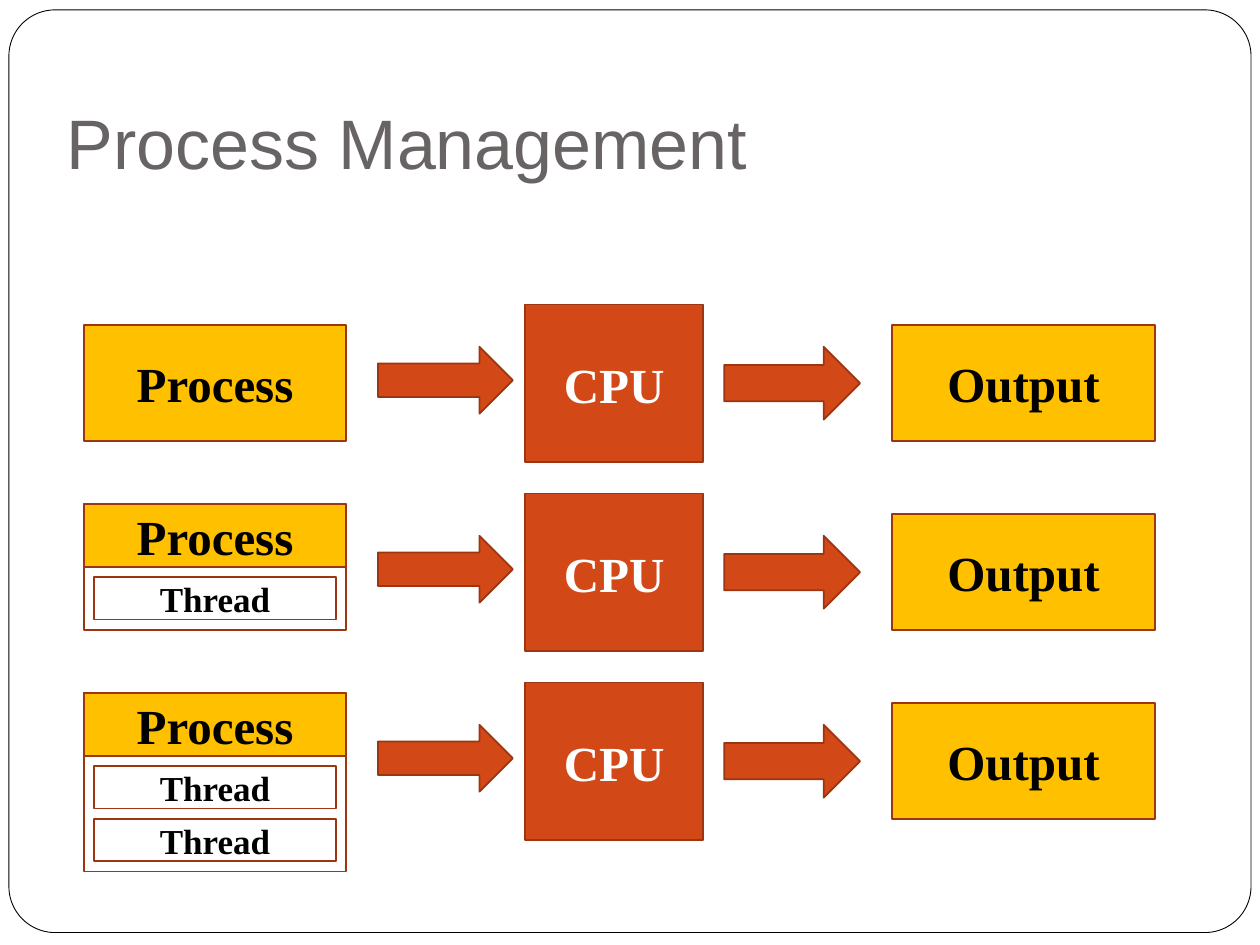
from pptx import Presentation
from pptx.dml.color import RGBColor
from pptx.enum import shapes, text
from pptx.util import Cm, Pt

WHITE = RGBColor(0xFF, 0xFF, 0xFF)
BLACK = RGBColor(0, 0, 0)
GREY = RGBColor(0x69, 0x64, 0x64)
RED = RGBColor(0xD3, 0x48, 0x17)
RUST = RGBColor(0x9C, 0x35, 0x11)
GOLD = RGBColor(0xFF, 0xC0, 0x00)

KIND = shapes.MSO_SHAPE
GAP = 0.21
HEAD = 1.27
STEP = 1.06


def write(shape, words, size=28, font="Times New Roman", color=BLACK,
          bold=True, align=text.PP_ALIGN.CENTER,
          anchor=text.MSO_ANCHOR.MIDDLE):
    frame = shape.text_frame
    frame.word_wrap = True
    frame.auto_size = text.MSO_AUTO_SIZE.NONE
    frame.vertical_anchor = anchor
    para = frame.paragraphs[0]
    para.alignment = align
    run = para.add_run()
    run.text = words
    run.font.size = Pt(size)
    run.font.name = font
    run.font.bold = bold
    run.font.color.rgb = color


def draw(slide, box, kind=KIND.RECTANGLE, fill=None, line=RUST, width=1):
    """Add a flat shape; box is left, top, width and height in centimetres."""
    shape = slide.shapes.add_shape(kind, *map(Cm, box))
    shape.shadow.inherit = False
    if fill is None:
        shape.fill.background()
    else:
        shape.fill.solid()
        shape.fill.fore_color.rgb = fill
    shape.line.color.rgb = line
    shape.line.width = Pt(width)
    return shape


def add_frame(slide, box):
    frame = draw(slide, box, KIND.ROUNDED_RECTANGLE, WHITE, BLACK, 0.5)
    frame.adjustments[0] = 0.05
    # Keep the border behind the title
    slide.shapes._spTree.insert(2, frame._element)


def add_title(slide, box, words):
    title = slide.shapes.title
    title.left, title.top, title.width, title.height = map(Cm, box)
    title.text_frame.margin_bottom = Cm(0.25)
    write(title, words, size=40, font="Arial", color=GREY, bold=False,
          align=text.PP_ALIGN.LEFT, anchor=text.MSO_ANCHOR.BOTTOM)


def add_process(slide, left, top, wide, count):
    """Add a process box, with a list of threads under it if count > 0."""
    if not count:
        write(draw(slide, (left, top + GAP, wide, 2.33), fill=GOLD), "Process")
        return
    write(draw(slide, (left, top, wide, HEAD), fill=GOLD), "Process")
    draw(slide, (left, top, wide, HEAD + count * STEP + GAP))
    for i in range(count):
        spot = (left + GAP, top + HEAD + GAP + i * STEP,
                wide - 2 * GAP, STEP - GAP)
        write(draw(slide, spot), "Thread", size=20)


def add_row(slide, left, top, count):
    """Add one flow from process through CPU to output."""
    add_process(slide, left, top + GAP, 5.29, count)
    cpu = draw(slide, (left + 8.89, top, 3.6, 3.18), fill=RED)
    write(cpu, "CPU", color=WHITE)
    for shift, wide, high in ((5.93, 2.72, 1.35), (12.91, 2.74, 1.47)):
        draw(slide, (left + shift, top + 0.85, wide, high),
             KIND.RIGHT_ARROW, RED)
    out = draw(slide, (left + 16.3, top + 2 * GAP, 5.29, 2.33), fill=GOLD)
    write(out, "Output")


def main():
    deck = Presentation()
    deck.slide_width, deck.slide_height = Cm(25.4), Cm(19.05)
    slide = deck.slides.add_slide(deck.slide_layouts[5])
    add_frame(slide, (0.18, 0.2, 25.04, 18.6))
    add_title(slide, (1.09, 0.76, 23.04, 3.18), "Process Management")
    for count in range(3):
        add_row(slide, 1.69, 6.14 + 3.81 * count, count)
    deck.save("out.pptx")


if __name__ == "__main__":
    main()
